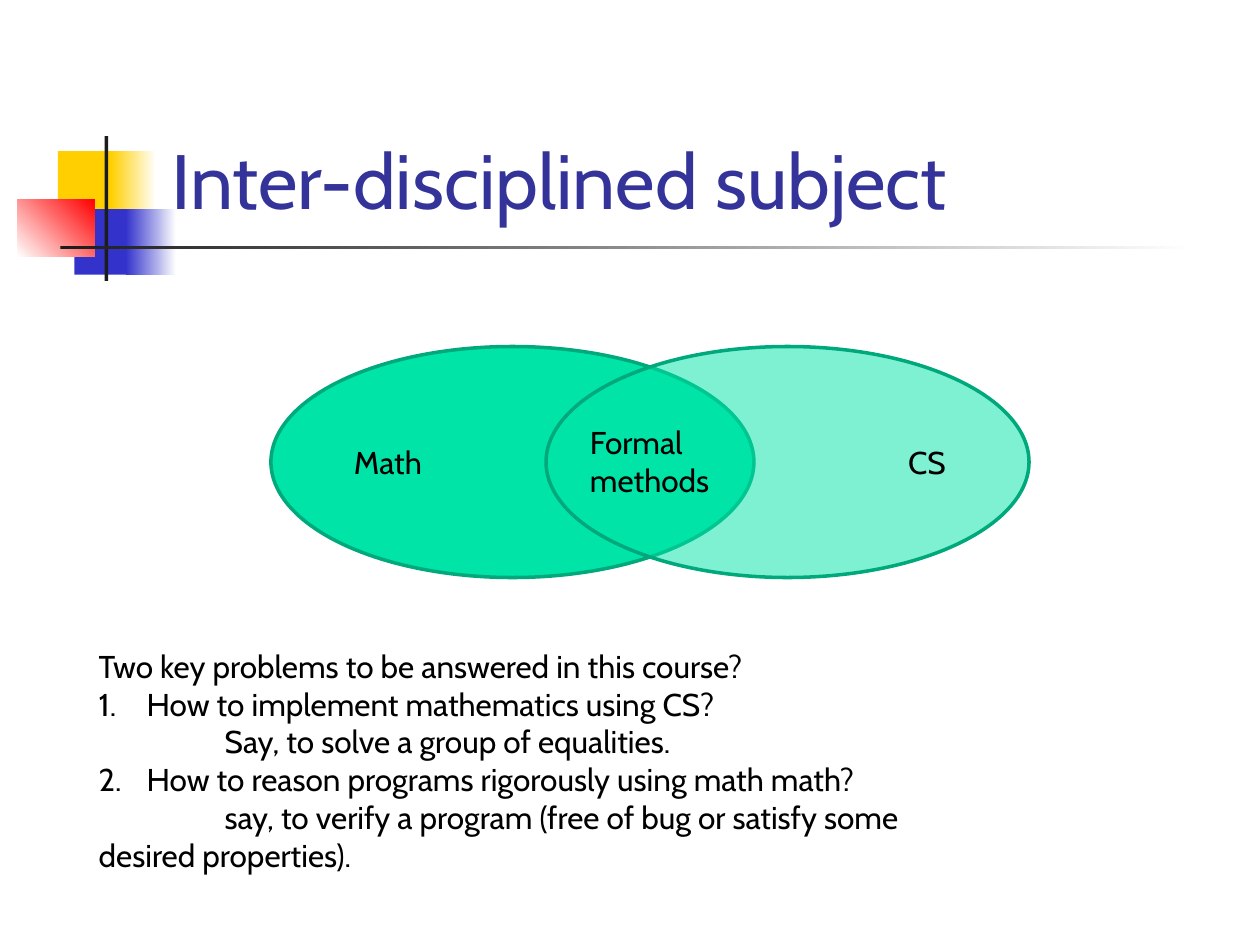
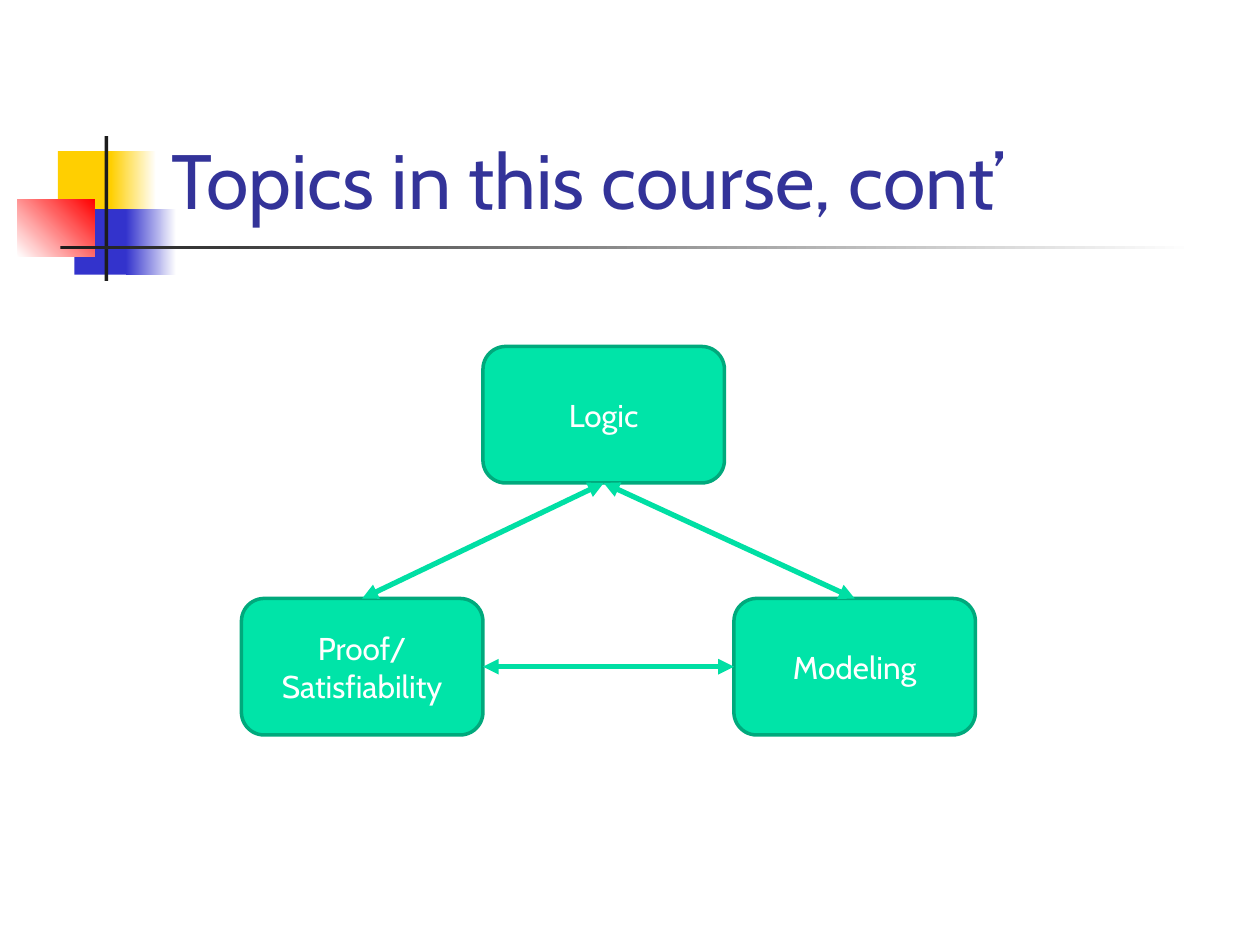
from lxml import etree
from pptx import Presentation
from pptx.dml.color import RGBColor
from pptx.enum.shapes import MSO_CONNECTOR, MSO_SHAPE
from pptx.enum.text import MSO_ANCHOR, MSO_AUTO_SIZE, PP_ALIGN
from pptx.oxml.ns import qn
from pptx.util import Inches, Pt

LEFT, CENTER, RIGHT = PP_ALIGN.LEFT, PP_ALIGN.CENTER, PP_ALIGN.RIGHT
RECTANGLE, OVAL, ROUNDED = MSO_SHAPE.RECTANGLE, MSO_SHAPE.OVAL, MSO_SHAPE.ROUNDED_RECTANGLE
TOP_SITE, LEFT_SITE, BOTTOM_SITE, RIGHT_SITE = range(4)

FONT = "Cabin"
WHITE, BLACK, INK = "FFFFFF", "000000", "1C1C1C"
YELLOW, BLUE, RED, TITLE_BLUE = "FFCF01", "3333CC", "FF0000", "333399"
GREEN, DARK_GREEN, ARROW_GREEN = "00E4A8", "00A97C", "00DFA4"
CELL = Inches(1) // 12  # the slide is a grid of 120 columns by 90 rows


def paint(shape, colours, line=None, angle=0):
    """Fill with one colour or a gradient of two; outline only if a line colour is given."""
    shape.shadow.inherit = False
    if len(colours) == 1:
        shape.fill.solid()
        shape.fill.fore_color.rgb = RGBColor.from_string(colours[0])
    else:
        shape.fill.gradient()
        shape.fill.gradient_angle = angle
        for stop, colour in zip(shape.fill.gradient_stops, colours):
            stop.color.rgb = RGBColor.from_string(colour)
    if line:
        shape.line.color.rgb = RGBColor.from_string(line)
        shape.line.width = Pt(2)
    else:
        shape.line.fill.background()


def write(text_frame, text, colour=BLACK, size=18, alignment=LEFT):
    text_frame.text = text
    for paragraph in text_frame.paragraphs:
        paragraph.alignment = alignment
        paragraph.space_before = Pt(0)
        for run in paragraph.runs:
            for name, value in {"name": FONT, "size": Pt(size)}.items():
                setattr(run.font, name, value)
            run.font.color.rgb = RGBColor.from_string(colour)


presentation = Presentation()
presentation.slide_width, presentation.slide_height = 120 * CELL, 90 * CELL
master = presentation.slide_master

title_format = {"left": 15.1, "top": 2.8, "width": 102.2, "height": 19.2}
for name, value in title_format.items():
    setattr(master.placeholders[0], name, int(value * CELL))
master.placeholders[0].text_frame.vertical_anchor = MSO_ANCHOR.BOTTOM

venn_slide = presentation.slides.add_slide(presentation.slide_layouts[1])
topics_slide = presentation.slides.add_slide(presentation.slide_layouts[5])
write(venn_slide.shapes.title.text_frame, "Inter-disciplined subject", TITLE_BLUE, 44)
write(topics_slide.shapes.title.text_frame, "Topics in this course, cont’", TITLE_BLUE, 44)

# Title ornament: drawn once, then moved behind the placeholders of the master
ornament = [
    ((0.46, 1.2, 0.48, 0.52), [YELLOW], 0),
    ((0.88, 1.2, 0.36, 0.52), [YELLOW, WHITE], 0),
    ((0.59, 1.66, 0.46, 0.52), [BLUE], 0),
    ((1, 1.66, 0.4, 0.52), [BLUE, WHITE], 0),
    ((0.14, 1.58, 0.61, 0.46), [WHITE, RED], 45),
    ((0.83, 1.08, 0.03, 1.15), [INK], 0),
    ((0.48, 1.95, 9, 0.03), [INK, WHITE], 0),
]
for position, (box, colours, angle) in enumerate(ornament, start=2):
    shape = venn_slide.shapes.add_shape(RECTANGLE, *map(Inches, box))
    paint(shape, colours, angle=angle)
    master.shapes.element.insert(position, shape.element)

# Slide 1: two overlapping fields and the questions they raise
for label, column, alignment in [("Math", 25.8, LEFT), ("CS", 52, RIGHT)]:
    field = venn_slide.shapes.add_shape(OVAL, int(column * CELL), 33 * CELL, 46 * CELL, 22 * CELL)
    paint(field, [GREEN], DARK_GREEN)
    write(field.text_frame, label, alignment=alignment)
colour_element = field.element.spPr.find(qn("a:solidFill"))[0]
etree.SubElement(colour_element, qn("a:alpha"), val="50000")

overlap = venn_slide.shapes.add_textbox(55 * CELL, int(39.7 * CELL), 14 * CELL, int(8.5 * CELL))
overlap.text_frame.word_wrap = True
write(overlap.text_frame, "Formal\nmethods")

questions = [
    ("Two key problems to be answered in this course?", 0, 0, None),
    ("How to implement mathematics using CS?", 0.38, -0.38, 1),
    ("Say, to solve a group of equalities.", 0, 1, None),
    ("How to reason programs rigorously using math math?", 0.38, -0.38, 2),
    ("say, to verify a program (free of bug or satisfy some\vdesired properties).", 0, 1, None),
]
body = venn_slide.placeholders[1]
body_format = {"left": 8.2, "top": 61, "width": 90.8, "height": 23}
for name, value in body_format.items():
    setattr(body, name, int(value * CELL))
body.text_frame.auto_size = MSO_AUTO_SIZE.NONE
write(body.text_frame, "\n".join(question[0] for question in questions))
for paragraph, (_, margin, indent, number) in zip(body.text_frame.paragraphs, questions):
    properties = paragraph._p.get_or_add_pPr()
    properties.set("marL", str(Inches(margin)))
    properties.set("indent", str(Inches(indent)))
    if number:
        etree.SubElement(properties, qn("a:buFont"), typeface=FONT)
        etree.SubElement(properties, qn("a:buAutoNum"), type="arabicPeriod", startAt=str(number))
    else:
        etree.SubElement(properties, qn("a:buNone"))

# Slide 2: three topics in a triangle
topics = []
for label, column, row in [("Logic", 46, 33), ("Proof/\nSatisfiability", 23, 57), ("Modeling", 69.9, 57)]:
    topic = topics_slide.shapes.add_shape(ROUNDED, int(column * CELL), row * CELL, 23 * CELL, 13 * CELL)
    paint(topic, [GREEN], DARK_GREEN)
    write(topic.text_frame, label, WHITE, alignment=CENTER)
    topics.append(topic)
logic, proof, modeling = topics

links = [
    (proof, TOP_SITE, logic, BOTTOM_SITE),
    (proof, RIGHT_SITE, modeling, LEFT_SITE),
    (modeling, TOP_SITE, logic, BOTTOM_SITE),
]
for start, start_site, end, end_site in links:
    arrow = topics_slide.shapes.add_connector(MSO_CONNECTOR.STRAIGHT, 0, 0, 0, 0)
    arrow.begin_connect(start, start_site)
    arrow.end_connect(end, end_site)
    arrow.line.color.rgb = RGBColor.from_string(ARROW_GREEN)
    arrow.line.width = Pt(3)
    for tip in ("a:headEnd", "a:tailEnd"):
        etree.SubElement(arrow.line._get_or_add_ln(), qn(tip), type="triangle")
    etree.SubElement(arrow.element.spPr, qn("a:effectLst"))

presentation.save("out.pptx")
